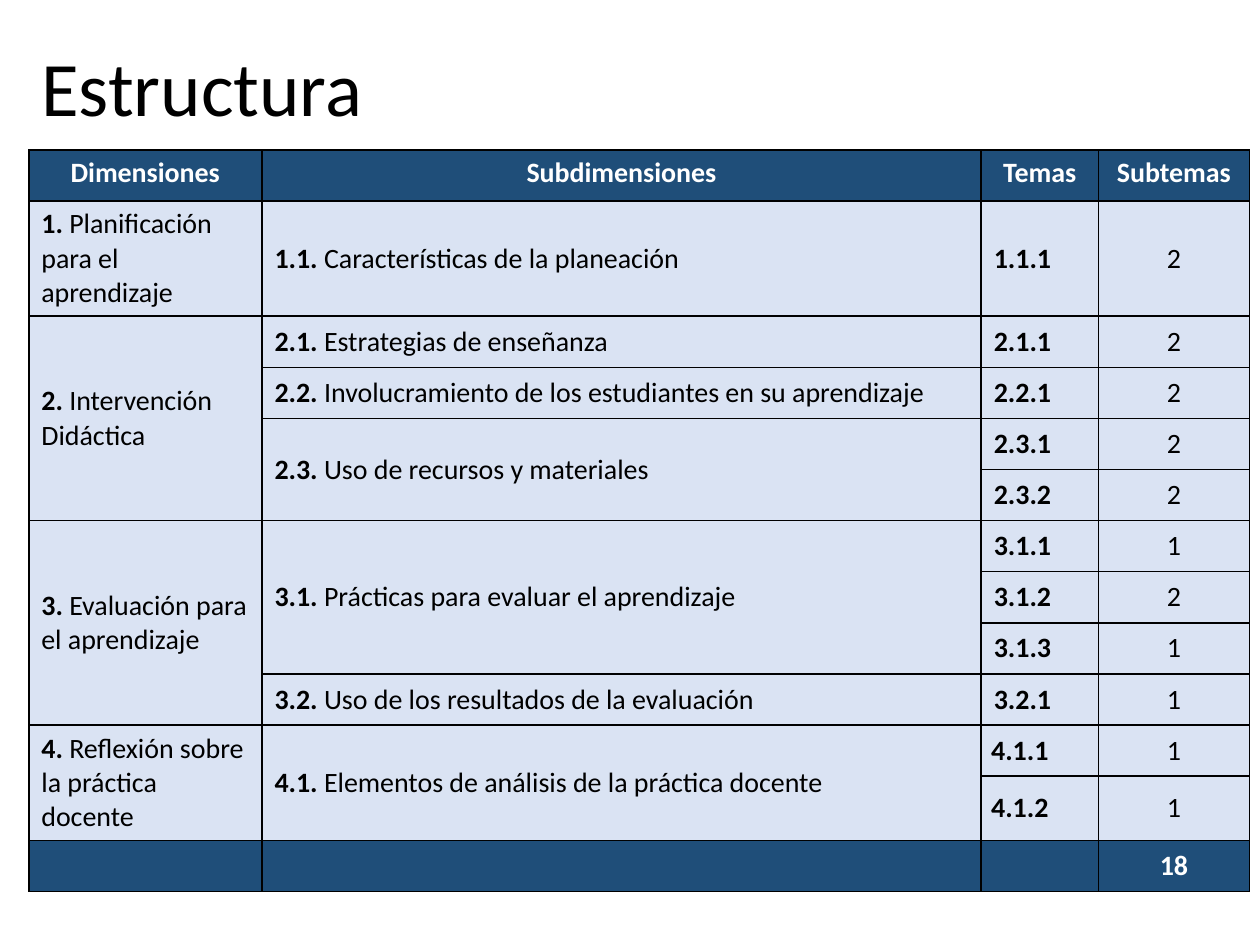
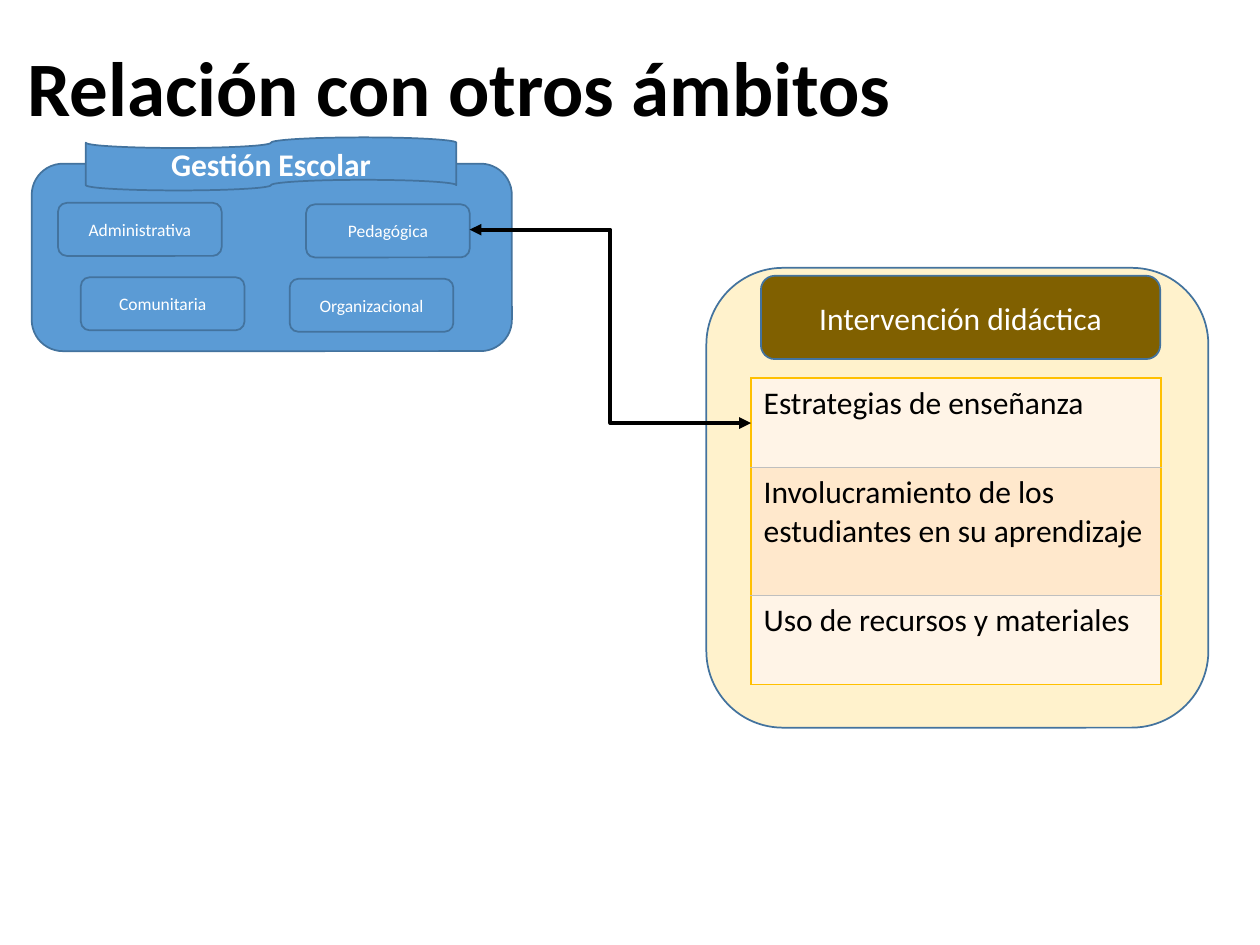
from dataclasses import dataclass

import pptx
import pptx.dml.color
import pptx.enum.shapes
import pptx.enum.text
import pptx.oxml
import pptx.oxml.ns
import pptx.shapes.autoshape
import pptx.slide
import pptx.table
import pptx.text.text
import pptx.util

Cm = pptx.util.Cm
Pt = pptx.util.Pt
RGBColor = pptx.dml.color.RGBColor
ALIGN = pptx.enum.text.PP_ALIGN
ANCHOR = pptx.enum.text.MSO_ANCHOR
SHAPE = pptx.enum.shapes.MSO_SHAPE

FONT = "Calibri"
BLACK = RGBColor(0x00, 0x00, 0x00)
WHITE = RGBColor(0xFF, 0xFF, 0xFF)
NAVY = RGBColor(0x1F, 0x4E, 0x79)
ICE = RGBColor(0xDA, 0xE3, 0xF3)
BLUE = RGBColor(0x5B, 0x9B, 0xD5)
OUTLINE = RGBColor(0x43, 0x73, 0x9E)
CREAM = RGBColor(0xFF, 0xF2, 0xCC)
BROWN = RGBColor(0x80, 0x60, 0x00)
GOLD = RGBColor(0xFF, 0xC0, 0x00)
GREY = RGBColor(0xBF, 0xBF, 0xBF)
PEACH_LIGHT = RGBColor(0xFF, 0xF4, 0xE7)
PEACH = RGBColor(0xFF, 0xE8, 0xCC)


@dataclass
class Topic:
    """One table row; an empty dimension or subdimension continues the one above."""
    dimension: str
    subdimension: str
    code: str
    subtopics: int


@dataclass
class Box:
    """A filled shape with an optional centred label; lengths in cm."""
    left: float
    top: float
    width: float
    height: float
    fill: RGBColor
    label: str = ""
    size: float = 18
    bold: bool = False
    kind: SHAPE = SHAPE.ROUNDED_RECTANGLE


HEADERS = ["Dimensiones", "Subdimensiones", "Temas", "Subtemas"]
TOPICS = [
    Topic("1. Planificación para el aprendizaje",
          "1.1. Características de la planeación", "1.1.1", 2),
    Topic("2. Intervención Didáctica", "2.1. Estrategias de enseñanza", "2.1.1", 2),
    Topic("", "2.2. Involucramiento de los estudiantes en su aprendizaje", "2.2.1", 2),
    Topic("", "2.3. Uso de recursos y materiales", "2.3.1", 2),
    Topic("", "", "2.3.2", 2),
    Topic("3. Evaluación para el aprendizaje",
          "3.1. Prácticas para evaluar el aprendizaje", "3.1.1", 1),
    Topic("", "", "3.1.2", 2),
    Topic("", "", "3.1.3", 1),
    Topic("", "3.2. Uso de los resultados de la evaluación", "3.2.1", 1),
    Topic("4. Reflexión sobre la práctica docente",
          "4.1. Elementos de análisis de la práctica docente", "4.1.1", 1),
    Topic("", "", "4.1.2", 1),
]
TOTAL = "18"

STRATEGIES = [
    "Estrategias de enseñanza",
    "Involucramiento de los estudiantes en su aprendizaje",
    "Uso de recursos y materiales",
]

BOXES = [
    Box(14.24, 5.4, 10.12, 9.27, CREAM),
    Box(15.34, 5.56, 8.05, 1.68, BROWN, "Intervención didáctica"),
    Box(0.64, 3.3, 9.68, 3.78, BLUE),
    Box(1.73, 2.77, 7.47, 1.07, BLUE, "Gestión Escolar", bold=True,
        kind=SHAPE.FLOWCHART_PUNCHED_TAPE),
] + [Box(left, top, 3.3, 1.07, BLUE, label, size=10) for left, top, label in [
    (6.17, 4.12, "Pedagógica"), (1.17, 4.09, "Administrativa"),
    (5.84, 5.62, "Organizacional"), (1.63, 5.59, "Comunitaria")]]


def write(tf: pptx.text.text.TextFrame, text: str, *, lead: str = "", size: float = 16,
          color: RGBColor = BLACK, bold: bool = False, align: ALIGN = ALIGN.LEFT) -> None:
    """Write one paragraph, with an optional bold lead before the text."""
    p = tf.paragraphs[0]
    p.alignment = align
    for part, heavy in ((lead, True), (text, bold)):
        if part:
            r = p.add_run()
            r.text = part
            r.font.name, r.font.size, r.font.bold = FONT, Pt(size), heavy
            r.font.color.rgb = color


def add_titled_slide(prs: pptx.presentation.Presentation, title: str, left: float,
                     bold: bool = False) -> pptx.slide.Slide:
    """Add a slide with a large left-aligned title."""
    s = prs.slides.add_slide(prs.slide_layouts[5])
    sp = s.shapes.title
    sp.left, sp.top, sp.width, sp.height = Cm(left), Cm(0), Cm(21.9), Cm(3.68)
    tf = sp.text_frame
    tf.auto_size = pptx.enum.text.MSO_AUTO_SIZE.NONE
    tf.vertical_anchor = ANCHOR.MIDDLE
    write(tf, title, size=44, bold=bold)
    tf.paragraphs[0].line_spacing = 0.9
    return s


def add_grid(s: pptx.slide.Slide, left: float, top: float, widths: list[float],
             heights: list[float]) -> pptx.table.Table:
    """Add an unbanded table with the given column widths and row heights in cm."""
    table = s.shapes.add_table(len(heights), len(widths), Cm(left), Cm(top),
                               Cm(sum(widths)), Cm(sum(heights))).table
    table.first_row = table.horz_banding = False
    for column, width in zip(table.columns, widths):
        column.width = Cm(width)
    for row, height in zip(table.rows, heights):
        row.height = Cm(height)
    return table


def style_cell(cell: pptx.table._Cell, fill: RGBColor, top: RGBColor,
               bottom: RGBColor, side: RGBColor) -> None:
    """Fill a cell and draw its four borders; grey ones are thinner."""
    cell.fill.solid()
    cell.fill.fore_color.rgb = fill
    props = cell._tc.get_or_add_tcPr()
    for i, (edge, color) in enumerate(zip("LRTB", (side, side, top, bottom))):
        width = Pt(0.5 if color == GREY else 1)
        props.insert(i, pptx.oxml.parse_xml(
            f'<a:ln{edge} {pptx.oxml.ns.nsdecls("a")} w="{width}"><a:solidFill>'
            f'<a:srgbClr val="{color}"/></a:solidFill></a:ln{edge}>'))


def add_box(s: pptx.slide.Slide, box: Box) -> pptx.shapes.autoshape.Shape:
    """Draw a box and its label."""
    sp = s.shapes.add_shape(box.kind, Cm(box.left), Cm(box.top),
                            Cm(box.width), Cm(box.height))
    sp.shadow.inherit = False
    sp.fill.solid()
    sp.fill.fore_color.rgb = box.fill
    sp.line.color.rgb = OUTLINE
    sp.line.width = Pt(1)
    if box.label:
        sp.text_frame.word_wrap = True
        sp.text_frame.vertical_anchor = ANCHOR.MIDDLE
        write(sp.text_frame, box.label, size=box.size, color=WHITE, bold=box.bold,
              align=ALIGN.CENTER)
    return sp


def add_double_arrow(s: pptx.slide.Slide, x1: float, y1: float, x2: float,
                     y2: float) -> None:
    """Draw an elbow connector with an arrowhead at each end."""
    line = s.shapes.add_connector(pptx.enum.shapes.MSO_CONNECTOR.ELBOW,
                                  Cm(x1), Cm(y1), Cm(x2), Cm(y2))
    line.line.color.rgb = BLACK
    line.line.width = Pt(2.25)
    ns = pptx.oxml.ns.nsdecls("a")
    for end in ("headEnd", "tailEnd"):
        line.line._get_or_add_ln().append(
            pptx.oxml.parse_xml(f'<a:{end} {ns} type="triangle"/>'))
    line._element.spPr.append(pptx.oxml.parse_xml(f"<a:effectLst {ns}/>"))


def build_structure(prs: pptx.presentation.Presentation) -> None:
    """Build the table of dimensions, subdimensions and topics."""
    s = add_titled_slide(prs, "Estructura", 0.58)
    heights = [1.03] * (len(TOPICS) + 2)
    heights[1], heights[-2] = 2.32, 1.3
    table = add_grid(s, 0.58, 3.02, [4.7, 14.5, 2.36, 3.05], heights)
    last = len(heights) - 1
    for i in range(len(heights)):
        for j in range(len(HEADERS)):
            cell = table.cell(i, j)
            style_cell(cell, NAVY if i in (0, last) else ICE, BLACK, BLACK, BLACK)
            if i:
                cell.vertical_anchor = ANCHOR.MIDDLE
    for j, header in enumerate(HEADERS):
        write(table.cell(0, j).text_frame, header, color=WHITE, bold=True,
              align=ALIGN.CENTER)
    for i, topic in enumerate(TOPICS, 1):
        for j, text in enumerate((topic.dimension, topic.subdimension)):
            number, space, name = text.partition(" ")
            write(table.cell(i, j).text_frame, name, lead=number + space)
        code = table.cell(i, 2)
        write(code.text_frame, topic.code, bold=True)
        if topic.code.startswith("4"):
            code.margin_left, code.margin_right = Cm(0.2), Cm(0.08)
            code.margin_top = code.margin_bottom = Cm(0.05)
        write(table.cell(i, 3).text_frame, str(topic.subtopics), align=ALIGN.CENTER)
    write(table.cell(last, 3).text_frame, TOTAL, color=WHITE, bold=True,
          align=ALIGN.CENTER)
    for j, field in enumerate(("dimension", "subdimension")):
        starts = [i for i, topic in enumerate(TOPICS, 1) if getattr(topic, field)]
        for start, following in zip(starts, starts[1:] + [last]):
            if following - start > 1:
                table.cell(start, j).merge(table.cell(following - 1, j))


def build_relation(prs: pptx.presentation.Presentation) -> None:
    """Build the link between school management and teaching."""
    s = add_titled_slide(prs, "Relación con otros ámbitos", 0.3, bold=True)
    for box in BOXES:
        add_box(s, box)
    table = add_grid(s, 15.14, 7.62, [8.26], [1.8, 2.58, 1.8])
    last = len(STRATEGIES) - 1
    for i, strategy in enumerate(STRATEGIES):
        cell = table.cell(i, 0)
        style_cell(cell, PEACH if i % 2 else PEACH_LIGHT, GREY if i else GOLD,
                   GREY if i < last else GOLD, GOLD)
        write(cell.text_frame, strategy, size=18)
    add_double_arrow(s, 9.47, 4.63, 15.14, 8.53)


prs = pptx.Presentation()
prs.slide_width, prs.slide_height = Cm(25.4), Cm(19.05)
build_structure(prs)
build_relation(prs)
prs.save("out.pptx")
